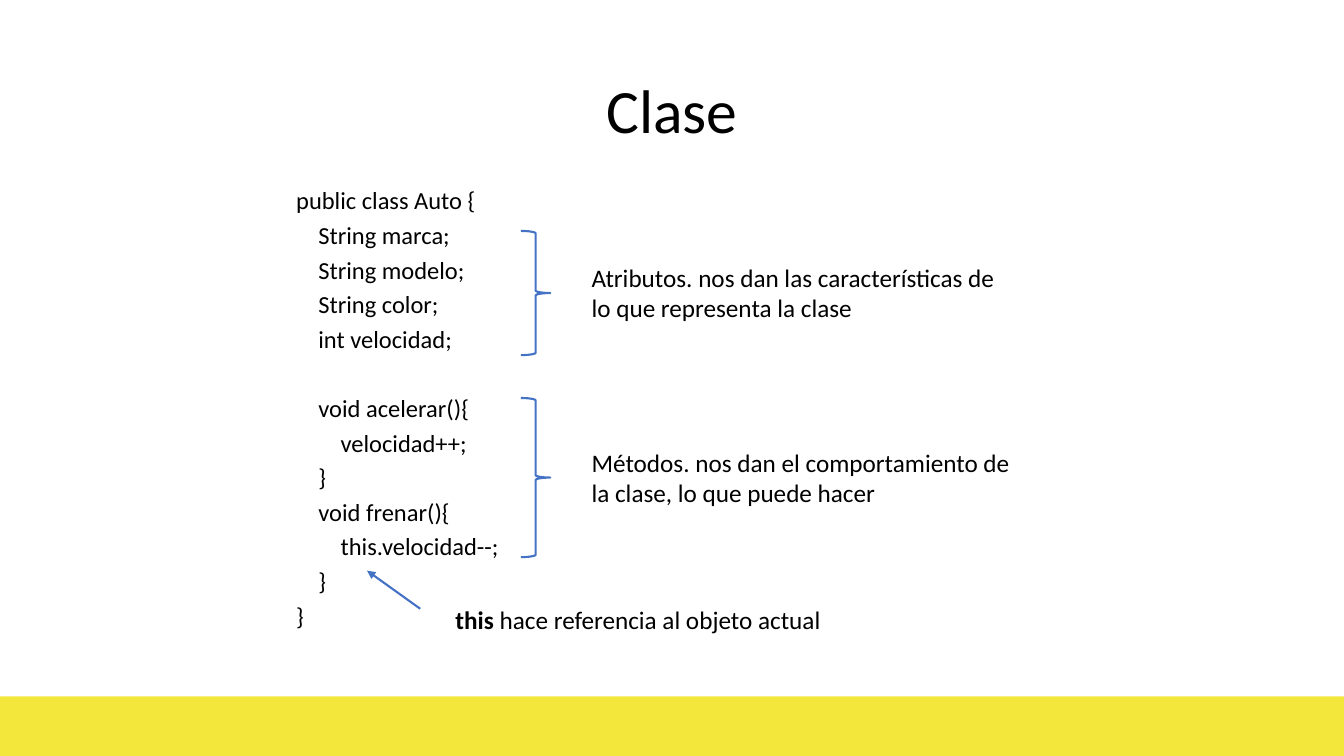
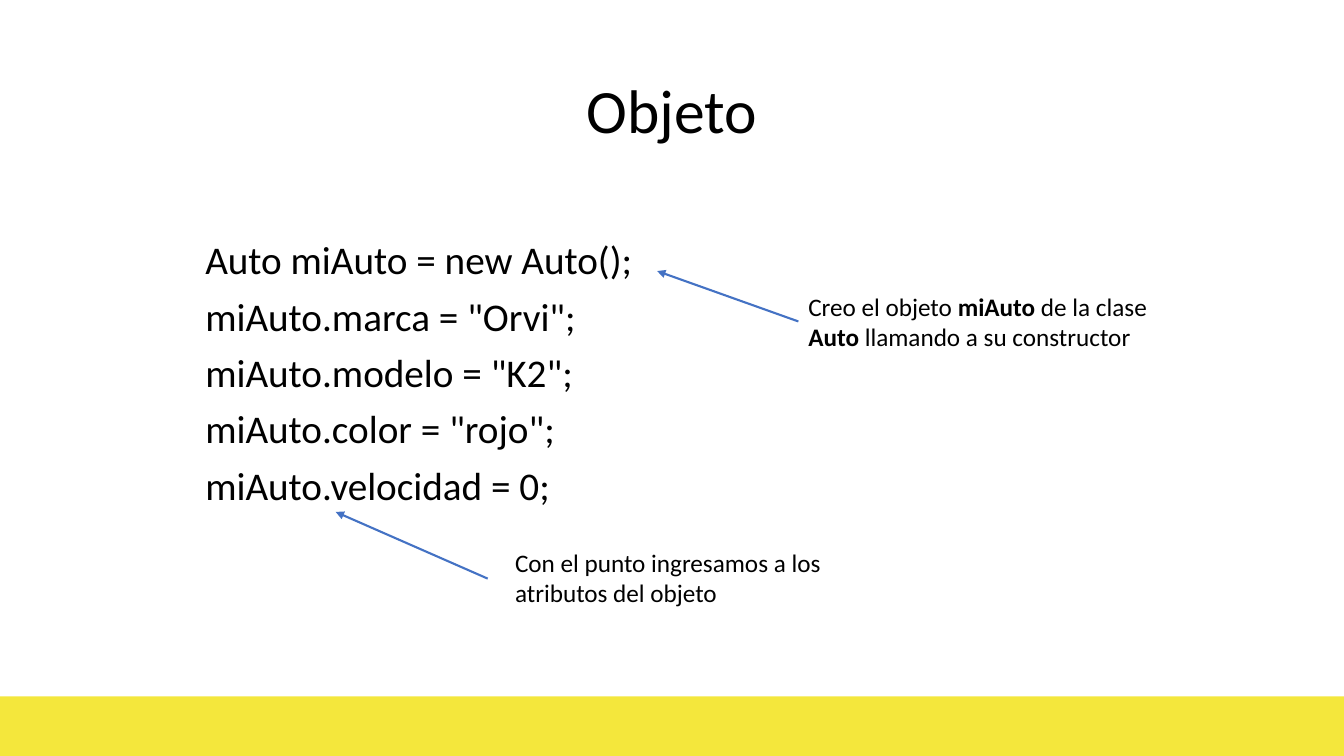
from dataclasses import dataclass

from lxml import etree
from pptx import Presentation
from pptx.dml.color import RGBColor
from pptx.enum import shapes, text
from pptx.oxml.ns import qn
from pptx.util import Cm, Pt


@dataclass(frozen=True)
class Theme:
    font: str = "Calibri"
    ink: RGBColor = RGBColor(0x00, 0x00, 0x00)
    band: RGBColor = RGBColor(0xF4, 0xE7, 0x3C)
    accent: RGBColor = RGBColor(0x44, 0x72, 0xC4)
    title_size: float = 44
    note_size: float = 18
    line_width: float = 1.5
    paragraph_gap: float = 10


THEME = Theme()
WIDTH, HEIGHT = 33.87, 19.05
BAND_HEIGHT = 1.5
TITLE_BOX = (2.33, 1.01, 29.21, 3.68)
INDENT = 0.56
BRACE_LEFT, BRACE_WIDTH = 13.13, 0.74
BRACE_NOTE_LEFT, BRACE_NOTE_WIDTH = 14.66, 11.22
NOTE_HEIGHT = 1.8

SLIDES = [
    {
        "title": "Clase",
        "code_box": (7.21, 4.75, 21.92, 12.09),
        "code_size": 17.5,
        "code_spacing": 0.7,
        "code": [
            (0, "public class Auto {"),
            (1, "String marca;"),
            (1, "String modelo;"),
            (1, "String color;"),
            (1, "int velocidad;"),
            (1, "void acelerar(){"),
            (2, "velocidad++;"),
            (1, "}"),
            (1, "void frenar(){"),
            (2, "this.velocidad--;"),
            (1, "}"),
            (0, "}"),
        ],
        "section_starts": {5},
        "braces": [
            (5.82, 3.13, "Atributos. nos dan las características de lo que representa la clase"),
            (10.03, 4.01, "Métodos. nos dan el comportamiento de la clase, lo que puede hacer"),
        ],
        "notes": [
            ((11.23, 15.11, 10.29, 1.03),
             [("this", True), (" hace referencia al objeto actual", False)]),
        ],
        "arrows": [(10.59, 15.34, 9.25, 14.38)],
    },
    {
        "title": "Objeto",
        "code_box": (4.92, 5.94, 12.58, 7.14),
        "code_size": 28,
        "code_spacing": 0.9,
        "code": [
            (0, "Auto miAuto = new Auto();"),
            (0, 'miAuto.marca = "Orvi";'),
            (0, 'miAuto.modelo = "K2";'),
            (0, 'miAuto.color = "rojo";'),
            (0, "miAuto.velocidad = 0;"),
        ],
        "section_starts": set(),
        "braces": [],
        "notes": [
            ((20.12, 7.21, 10.13, NOTE_HEIGHT),
             [("Creo el objeto ", False), ("miAuto", True), (" de la clase ", False),
              ("Auto", True), (" llamando a su constructor", False)]),
            ((12.73, 13.67, 10.13, NOTE_HEIGHT),
             [("Con el punto ingresamos a los atributos del objeto", False)]),
        ],
        "arrows": [(20.12, 8.1, 16.56, 6.83), (12.29, 14.58, 8.46, 12.9)],
    },
]


def cms(values):
    return [Cm(value) for value in values]


def place(shape, box):
    shape.left, shape.top, shape.width, shape.height = cms(box)


def style(run, size, bold=False):
    run.font.name = THEME.font
    run.font.size = Pt(size)
    run.font.bold = bold
    run.font.color.rgb = THEME.ink


def stroke(line):
    line.color.rgb = THEME.accent
    line.width = Pt(THEME.line_width)


def add_band(slide):
    band = slide.shapes.add_shape(
        shapes.MSO_SHAPE.RECTANGLE,
        *cms((0, HEIGHT - BAND_HEIGHT, WIDTH, BAND_HEIGHT)))
    band.shadow.inherit = False
    band.fill.solid()
    band.fill.fore_color.rgb = THEME.band
    band.line.fill.background()


def fill_title(title, words):
    title.text_frame.text = words
    heading = title.text_frame.paragraphs[0]
    heading.alignment = text.PP_ALIGN.CENTER
    heading.line_spacing = 0.9
    style(heading.runs[0], THEME.title_size)


def fill_code(code, content):
    place(code, content["code_box"])
    frame = code.text_frame
    frame.text = "\n".join(line for _, line in content["code"])
    frame.auto_size = text.MSO_AUTO_SIZE.NONE
    size, spacing = content["code_size"], content["code_spacing"]
    section_gap = 2 * THEME.paragraph_gap + size * 1.22 * spacing
    for index, (level, _) in enumerate(content["code"]):
        line = frame.paragraphs[index]
        line.line_spacing = spacing
        gap = section_gap if index in content["section_starts"] else THEME.paragraph_gap
        line.space_before = Pt(gap if index else 0)
        properties = line._p.get_or_add_pPr()
        properties.set("marL", str(Cm(level * INDENT)))
        properties.set("indent", "0")
        etree.SubElement(properties, qn("a:buNone"))
        style(line.runs[0], size)


def add_note(slide, box, parts):
    note = slide.shapes.add_textbox(*cms(box))
    note.text_frame.word_wrap = True
    for words, bold in parts:
        run = note.text_frame.paragraphs[0].add_run()
        run.text = words
        style(run, THEME.note_size, bold)


def add_brace(slide, top, height, words):
    brace = slide.shapes.add_shape(
        shapes.MSO_SHAPE.RIGHT_BRACE, *cms((BRACE_LEFT, top, BRACE_WIDTH, height)))
    brace.shadow.inherit = False
    brace.fill.background()
    stroke(brace.line)
    note_top = top + (height - NOTE_HEIGHT) / 2
    add_note(slide, (BRACE_NOTE_LEFT, note_top, BRACE_NOTE_WIDTH, NOTE_HEIGHT),
             [(words, False)])


def add_arrow(slide, ends):
    arrow = slide.shapes.add_connector(shapes.MSO_CONNECTOR.STRAIGHT, *cms(ends))
    stroke(arrow.line)
    etree.SubElement(arrow.line._get_or_add_ln(), qn("a:tailEnd"), type="triangle")
    etree.SubElement(arrow._element.spPr, qn("a:effectLst"))


deck = Presentation()
deck.slide_width, deck.slide_height = cms((WIDTH, HEIGHT))
layout = deck.slide_layouts[1]
place(layout.placeholders[0], TITLE_BOX)

for content in SLIDES:
    slide = deck.slides.add_slide(layout)
    add_band(slide)
    fill_title(slide.shapes.title, content["title"])
    fill_code(slide.placeholders[1], content)
    for brace in content["braces"]:
        add_brace(slide, *brace)
    for note in content["notes"]:
        add_note(slide, *note)
    for ends in content["arrows"]:
        add_arrow(slide, ends)

deck.save("out.pptx")
